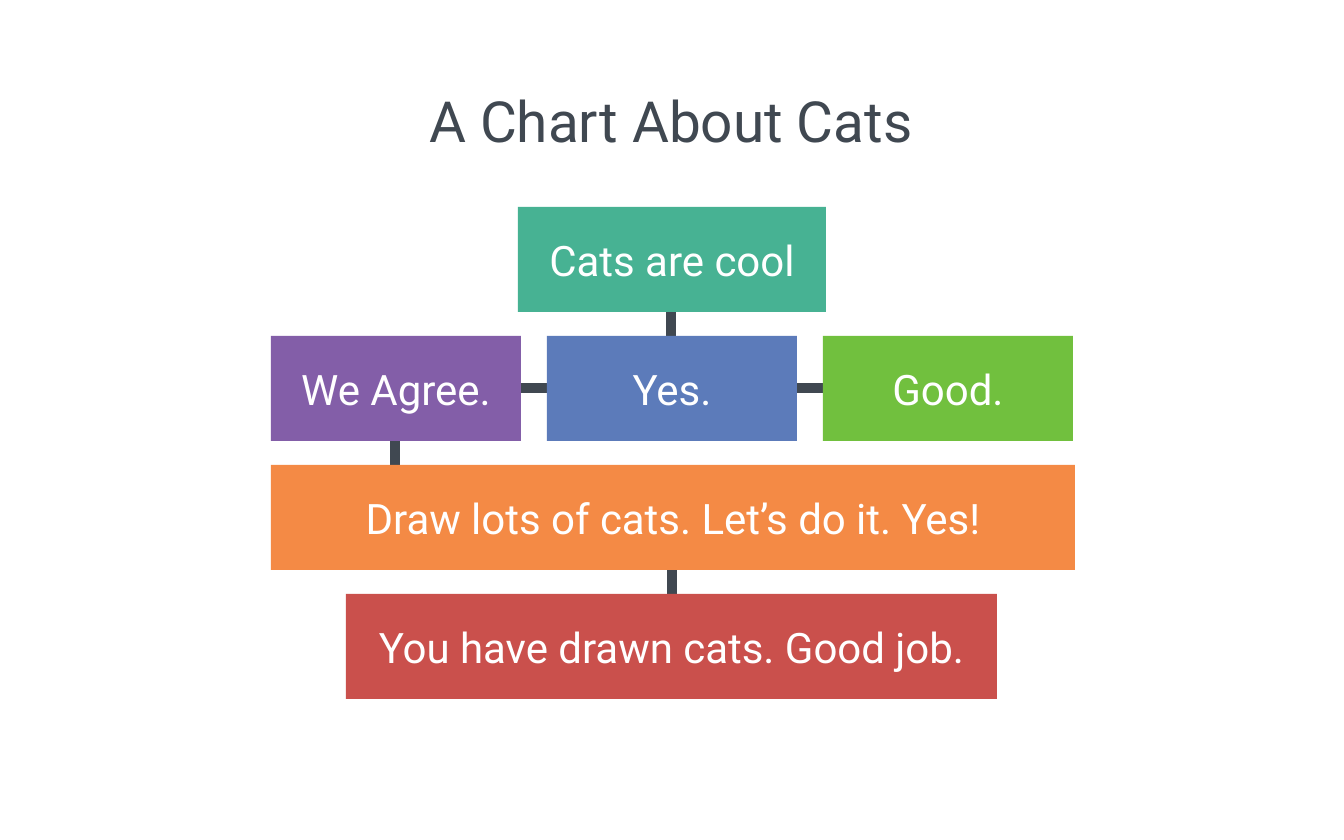
from dataclasses import dataclass

from lxml import etree
from pptx import Presentation
from pptx.dml.color import RGBColor
from pptx.enum.shapes import MSO_CONNECTOR, MSO_SHAPE
from pptx.enum.text import MSO_ANCHOR, MSO_AUTO_SIZE, PP_ALIGN
from pptx.oxml.ns import qn
from pptx.slide import Slide
from pptx.text.text import TextFrame
from pptx.util import Emu, Pt

RECT = MSO_SHAPE.RECTANGLE
STRAIGHT = MSO_CONNECTOR.STRAIGHT
CENTER = PP_ALIGN.CENTER
MIDDLE, BOTTOM = MSO_ANCHOR.MIDDLE, MSO_ANCHOR.BOTTOM
NO_AUTOFIT = MSO_AUTO_SIZE.NONE
TITLE_ONLY = 5

SLIDE_W, SLIDE_H = 1344, 840
LEFT, TOP = 271, 207
COL_W, ROW_H = 250, 105
COL_STEP, ROW_STEP = 276, 129
INSET = 4


@dataclass(frozen=True)
class Theme:
    font: str = "Roboto"
    title_size: int = 54
    box_size: int = 40
    link_width: int = 9
    background: str = "FFFFFF"
    ink: str = "404851"
    box_text: str = "FFFFFF"
    teal: str = "47B293"
    purple: str = "835EA8"
    blue: str = "5C7BBA"
    green: str = "71C03E"
    orange: str = "F48A45"
    red: str = "CA504C"


@dataclass(frozen=True)
class Box:
    text: str
    color: str
    x: int
    row: int
    w: int = COL_W

    @property
    def y(self) -> int:
        return row_top(self.row)


@dataclass(frozen=True)
class Link:
    x1: int
    y1: int
    x2: int
    y2: int


THEME = Theme()


def px(n: int) -> Emu:
    return Emu(round(n * 914400 / 75.6))


def col_left(col: int) -> int:
    return LEFT + col * COL_STEP


def row_top(row: int) -> int:
    return TOP + row * ROW_STEP


def drop(x: int, row: int) -> Link:
    return Link(x, row_top(row) + ROW_H, x, row_top(row + 1))


def bridge(col: int, row: int) -> Link:
    y = row_top(row) + ROW_H // 2
    return Link(col_left(col) + COL_W, y, col_left(col + 1), y)


BOXES = [
    Box("Cats are cool", THEME.teal, 518, 0, 308),
    Box("We Agree.", THEME.purple, col_left(0), 1),
    Box("Yes.", THEME.blue, col_left(1), 1),
    Box("Good.", THEME.green, col_left(2), 1),
    Box("Draw lots of cats. Let’s do it. Yes!", THEME.orange, LEFT, 2, 804),
    Box("You have drawn cats. Good job.", THEME.red, 346, 3, 651),
]
LINKS = [drop(671, 0), bridge(0, 1), bridge(1, 1), drop(395, 1), drop(672, 2)]


def write_text(tf: TextFrame, text: str, *, size: int, color: str,
               anchor: MSO_ANCHOR = MIDDLE) -> None:
    tf.word_wrap = True
    tf.auto_size = NO_AUTOFIT
    tf.vertical_anchor = anchor
    tf.margin_left = tf.margin_right = px(INSET)
    tf.margin_top = tf.margin_bottom = px(INSET)
    p = tf.paragraphs[0]
    p.alignment = CENTER
    r = p.add_run()
    r.text = text
    r.font.name = THEME.font
    r.font.size = Pt(size)
    r.font.color.rgb = RGBColor.from_string(color)


def add_link(s: Slide, link: Link) -> None:
    sp = s.shapes.add_connector(
        STRAIGHT, px(link.x1), px(link.y1), px(link.x2), px(link.y2))
    sp.line.width = Pt(THEME.link_width)
    sp.line.color.rgb = RGBColor.from_string(THEME.ink)
    etree.SubElement(sp.element.spPr, qn("a:effectLst"))


def add_box(s: Slide, box: Box) -> None:
    sp = s.shapes.add_shape(RECT, px(box.x), px(box.y), px(box.w), px(ROW_H))
    sp.shadow.inherit = False
    sp.fill.solid()
    sp.fill.fore_color.rgb = RGBColor.from_string(box.color)
    sp.line.fill.background()
    write_text(sp.text_frame, box.text, size=THEME.box_size, color=THEME.box_text)


def add_title(s: Slide, text: str) -> None:
    sp = s.shapes.title
    sp.left, sp.top, sp.width, sp.height = px(95), px(88), px(1152), px(70)
    write_text(sp.text_frame, text, size=THEME.title_size, color=THEME.ink,
               anchor=BOTTOM)


def main() -> None:
    prs = Presentation()
    prs.slide_width, prs.slide_height = px(SLIDE_W), px(SLIDE_H)
    s = prs.slides.add_slide(prs.slide_layouts[TITLE_ONLY])
    s.background.fill.solid()
    s.background.fill.fore_color.rgb = RGBColor.from_string(THEME.background)
    add_title(s, "A Chart About Cats")
    for link in LINKS:
        add_link(s, link)
    for box in BOXES:
        add_box(s, box)
    prs.save("out.pptx")


if __name__ == "__main__":
    main()
